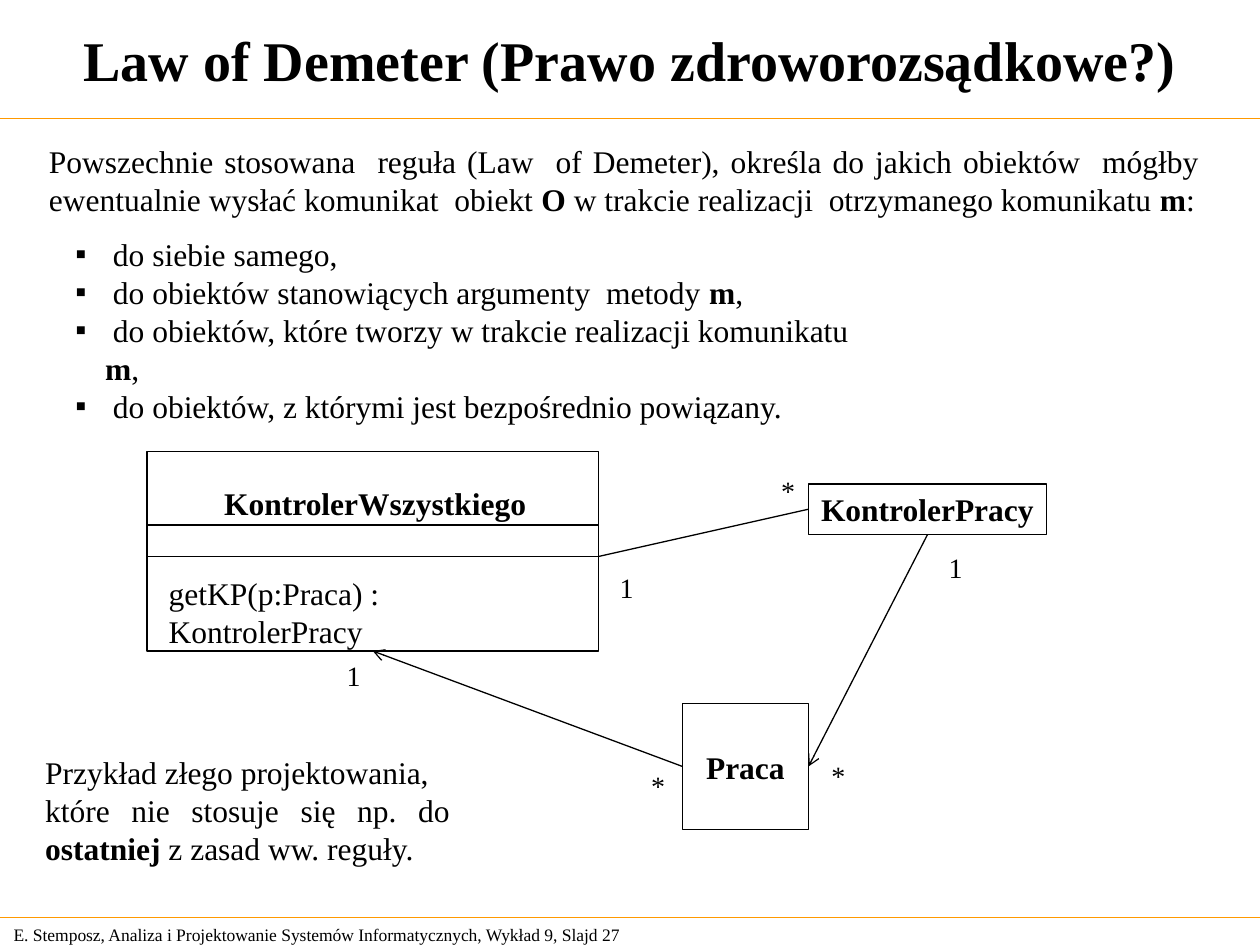
from lxml import etree
from pptx import Presentation, util as u
from pptx.dml.color import RGBColor
from pptx.enum import shapes, text
from pptx.oxml.ns import qn

FONT, BLACK, ORANGE = "Times New Roman", "000000", "FF9900"
LEFT, CENTER, JUSTIFY = text.PP_ALIGN.LEFT, text.PP_ALIGN.CENTER, text.PP_ALIGN.JUSTIFY
TOP, MIDDLE = text.MSO_ANCHOR.TOP, text.MSO_ANCHOR.MIDDLE

# Content: a paragraph is a list of pieces, with every second piece bold
FOOTER = [["E. Stemposz, Analiza i Projektowanie Systemów Informatycznych, Wykład 9, Slajd 27"]]
TITLE = [["", "Law of Demeter (Prawo zdroworozsądkowe?)"]]
RULE = [["Powszechnie stosowana  reguła (Law  of Demeter), określa do jakich obiektów  "
         "mógłby  ewentualnie wysłać komunikat  obiekt ", "O",
         " w trakcie realizacji  otrzymanego komunikatu ", "m", ":"]]
RECEIVERS = [
    [" do siebie samego,"],
    [" do obiektów stanowiących argumenty  metody ", "m", ","],
    [" do obiektów, które tworzy w trakcie realizacji komunikatu ", "m", ","],
    [" do obiektów, z którymi jest bezpośrednio powiązany."],
]
EXAMPLE = [["Przykład złego projektowania,"],
           ["które nie stosuje się np. do ", "ostatniej", " z zasad ww. reguły."]]

# Class boxes: left, top, width, height
CONTROLLER = (84, 258, 258, 114)
WORK_CONTROLLER = (462, 276.5, 136, 29)
WORK = (390, 402, 72, 72)
CLASS_NAMES = [(WORK_CONTROLLER, "KontrolerPracy"), (WORK, "Praca")]
CONTROLLER_TEXTS = [((121, 273, 187, 29), [["", "KontrolerWszystkiego"]]),
                    ((89.3, 324.7, 250, 29), [["getKP(p:Praca) : KontrolerPracy"]])]
COMPARTMENTS = (300, 318)  # y of the lines inside the controller box

# Multiplicities: left, top, sign
MULTIPLICITIES = [(365, 435.6, "*"), (191, 373, "1"), (347, 322.6, "1"),
                  (439.2, 267, "*"), (535, 311, "1"), (468, 430, "*")]

prs = Presentation()
prs.slide_width, prs.slide_height = u.Pt(720), u.Pt(540)
slide = prs.slides.add_slide(prs.slide_layouts[6])


def color(value):
    return RGBColor.from_string(value)


def write(shape, paragraphs, size=18, align=LEFT, anchor=TOP, wrap=True, bullet=None):
    frame = shape.text_frame
    layout = {"word_wrap": wrap, "vertical_anchor": anchor,
              "margin_left": u.Pt(7.2), "margin_right": u.Pt(7.2),
              "margin_top": u.Pt(3.6), "margin_bottom": u.Pt(3.6)}
    for name, value in layout.items():
        setattr(frame, name, value)
    for i, pieces in enumerate(paragraphs):
        par = frame.add_paragraph() if i else frame.paragraphs[0]
        par.alignment = align
        if bullet:
            props = par._p.get_or_add_pPr()
            props.set("marL", str(u.Pt(17)))
            props.set("indent", str(-u.Pt(17)))
            etree.SubElement(props, qn("a:buFont"), typeface=FONT)
            etree.SubElement(props, qn("a:buChar"), char=bullet)
        for j, piece in enumerate(pieces):
            if not piece:
                continue
            run = par.add_run()
            run.text = piece
            look = {"name": FONT, "size": u.Pt(size), "bold": j % 2 == 1}
            for name, value in look.items():
                setattr(run.font, name, value)
            run.font.color.rgb = color(BLACK)


def add_text(place, paragraphs, **options):
    write(slide.shapes.add_textbox(*map(u.Pt, place)), paragraphs, **options)


def add_box(place):
    box = slide.shapes.add_shape(shapes.MSO_SHAPE.RECTANGLE, *map(u.Pt, place))
    box.shadow.inherit = False
    box.fill.background()
    box.line.color.rgb = color(BLACK)
    box.line.width = u.Pt(0.75)
    return box


def add_line(start, end, shade=BLACK, arrow=False):
    line = slide.shapes.add_connector(shapes.MSO_CONNECTOR.STRAIGHT,
                                      *map(u.Pt, (*start, *end)))
    line.line.color.rgb = color(shade)
    line.line.width = u.Pt(0.75)
    if arrow:
        etree.SubElement(line.line._get_or_add_ln(), qn("a:tailEnd"), type="arrow")
    etree.SubElement(line._element.spPr, qn("a:effectLst"))


def side(place, across, down):
    left, top, width, height = place
    return left + across * width, top + down * height


# Footer, page rules and title
add_text((0.7, 524.2, 377.3, 19.4), FOOTER, size=10, anchor=MIDDLE)
for y in (67.7, 524.2):
    add_line((0, y), (720, y), ORANGE)
add_text((2.9, 2.9, 714.2, 61.2), TITLE, size=32, align=CENTER, anchor=MIDDLE)

# The rule and the allowed receivers
add_text((20.9, 77.8, 678.2, 50.4), RULE, align=JUSTIFY)
add_text((36, 131, 473, 93.6), RECEIVERS, bullet="▪")

# Class boxes
add_box(CONTROLLER)
for place, name in CLASS_NAMES:
    write(add_box(place), [["", name]], align=CENTER, anchor=MIDDLE, wrap=False)
for place, label in CONTROLLER_TEXTS:
    add_text(place, label, wrap=False)
left, right = CONTROLLER[0], CONTROLLER[0] + CONTROLLER[2]
for y in COMPARTMENTS:
    add_line((left, y), (right, y))

# Associations
add_line(side(WORK, 0, 0.5), side(CONTROLLER, 0.5, 1), arrow=True)
add_line((right, COMPARTMENTS[-1]), side(WORK_CONTROLLER, 0, 0.5))
add_line(side(WORK_CONTROLLER, 0.5, 1), side(WORK, 1, 0.5), arrow=True)

# Comment on the example and multiplicities
add_text((18.7, 427, 245.5, 72), EXAMPLE, align=JUSTIFY)
for x, y, sign in MULTIPLICITIES:
    add_text((x, y, 22.3, 26.6), [[sign]], size=16, wrap=False)

prs.save("out.pptx")
